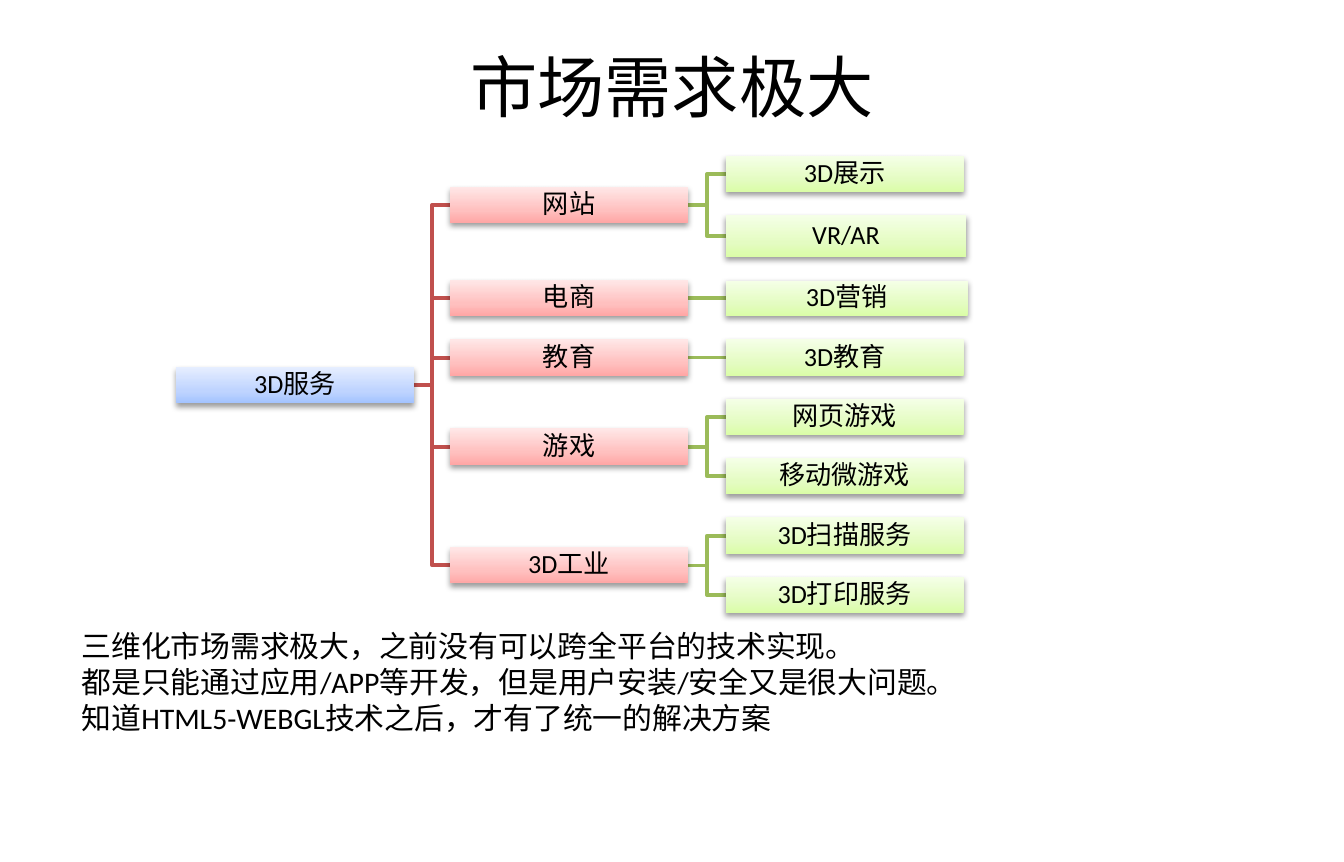
from lxml.etree import SubElement
from pptx import Presentation
from pptx.dml.color import RGBColor
from pptx.enum.shapes import MSO_CONNECTOR as CONN, MSO_SHAPE as SHAPE
from pptx.enum.text import MSO_ANCHOR as ANCHOR, PP_ALIGN as ALIGN
from pptx.oxml.ns import qn
from pptx.util import Inches, Pt

TITLE = "市场需求极大"
ROOT = "3D服务"
TREE = [
    ("网站", ["3D展示", "VR/AR"]),
    ("电商", ["3D营销"]),
    ("教育", ["3D教育"]),
    ("游戏", ["网页游戏", "移动微游戏"]),
    ("3D工业", ["3D扫描服务", "3D打印服务"]),
]
NOTES = [
    "三维化市场需求极大，之前没有可以跨全平台的技术实现。",
    "都是只能通过应用/APP等开发，但是用户安装/安全又是很大问题。",
    "知道HTML5-WEBGL技术之后，才有了统一的解决方案",
]
BLUE = ("A4C4FF", "BFD4FF", "E6EEFF")
RED = ("FFA6A5", "FFC0BF", "FFE7E7")
GREEN = ("DAFDA7", "E4FCC2", "F5FFE7")
RED_LINE, GREEN_LINE = "C0504D", "9BBB59"

COLS = (1.31, 3.35, 5.4)
WIDE, HIGH = 1.77, 0.27
SIZES = {"VR/AR": (1.79, 0.31), "3D营销": (1.8, 0.26)}
TOP, BOTTOM = 1.16, 4.56

deck = Presentation()
deck.slide_width, deck.slide_height = Inches(10), Inches(6.41)
slide = deck.slides.add_slide(deck.slide_layouts[6])
shapes = slide.shapes


def color(code):
    return RGBColor.from_string(code)


def write(frame, lines, size, align=ALIGN.LEFT, anchor=ANCHOR.TOP,
          inset=None, space=None):
    frame.word_wrap = True
    frame.vertical_anchor = anchor
    if inset is not None:
        frame.margin_left = frame.margin_right = Inches(inset)
        frame.margin_top = frame.margin_bottom = Inches(inset)
    for i, line in enumerate(lines):
        para = frame.add_paragraph() if i else frame.paragraphs[0]
        para.alignment, para.line_spacing = align, space
        run = para.add_run()
        run.text = line
        run.font.size, run.font.name = Pt(size), "Calibri"
        run.font.color.rgb = color("000000")


def label(x, y, w, h, lines, size, **look):
    box = shapes.add_textbox(Inches(x), Inches(y), Inches(w), Inches(h))
    write(box.text_frame, lines, size, **look)


def shade(shape, tones):
    """Fill upward through three tones and cast a soft shadow below."""
    shape.fill.gradient()
    shape.fill.gradient_angle = 90
    shape.line.fill.background()
    shape.shadow.inherit = False
    props = shape.element.spPr
    stops = props.find(".//" + qn("a:gsLst"))
    for stop in list(stops):
        stops.remove(stop)
    for pos, tone in zip((0, 35, 100), tones):
        stop = SubElement(stops, qn("a:gs"), pos=str(pos * 1000))
        SubElement(stop, qn("a:srgbClr"), val=tone)
    cast = SubElement(props.find(qn("a:effectLst")), qn("a:outerShdw"),
                      blurRad=str(Pt(3.1)), dist=str(Pt(1.6)),
                      dir="5400000", rotWithShape="0")
    tint = SubElement(cast, qn("a:srgbClr"), val="000000")
    SubElement(tint, qn("a:alpha"), val="38000")


def node(text, col, mid, tones):
    w, h = SIZES.get(text, (WIDE, HIGH))
    box = shapes.add_shape(SHAPE.RECTANGLE, Inches(COLS[col]),
                           Inches(mid - h / 2), Inches(w), Inches(h))
    shade(box, tones)
    write(box.text_frame, [text], 14, align=ALIGN.CENTER,
          anchor=ANCHOR.MIDDLE, inset=0.01, space=0.9)


def link(col, start, end, tone):
    """Join a node in column col to one in the next column."""
    left, right = Inches(COLS[col] + WIDE), Inches(COLS[col + 1])
    y1, y2 = Inches(start), Inches(end)
    if y1 == y2:
        line = shapes.add_connector(CONN.STRAIGHT, left, y1, right, y2)
        SubElement(line.element.spPr, qn("a:effectLst"))
    else:
        bend = (left + right) // 2
        path = shapes.build_freeform(left, y1)
        path.add_line_segments([(bend, y1), (bend, y2), (right, y2)],
                               close=False)
        line = path.convert_to_shape()
        line.fill.background()
        line.shadow.inherit = False
    line.line.color.rgb = color(tone)
    line.line.width = Pt(2)


# Leaves stack with equal gaps; each parent sits midway along its children.
leaves = [leaf for _, group in TREE for leaf in group]
highs = [max(HIGH, SIZES.get(leaf, (WIDE, HIGH))[1]) for leaf in leaves]
gap = (BOTTOM - TOP - sum(highs)) / (len(leaves) - 1)
mids, y = {}, TOP
for leaf, high in zip(leaves, highs):
    mids[leaf] = y + high / 2
    y += high + gap
for name, group in TREE:
    mids[name] = (mids[group[0]] + mids[group[-1]]) / 2
mids[ROOT] = (mids[TREE[0][0]] + mids[TREE[-1][0]]) / 2

label(0.5, 0.26, 9, 0.75, [TITLE], 36, align=ALIGN.CENTER,
      anchor=ANCHOR.MIDDLE)
for name, group in TREE:
    for leaf in group:
        link(1, mids[name], mids[leaf], GREEN_LINE)
    link(0, mids[ROOT], mids[name], RED_LINE)

node(ROOT, 0, mids[ROOT], BLUE)
for name, group in TREE:
    node(name, 1, mids[name], RED)
    for leaf in group:
        node(leaf, 2, mids[leaf], GREEN)
label(0.51, 4.62, 9.13, 0.91, NOTES, 16)

deck.save("out.pptx")
